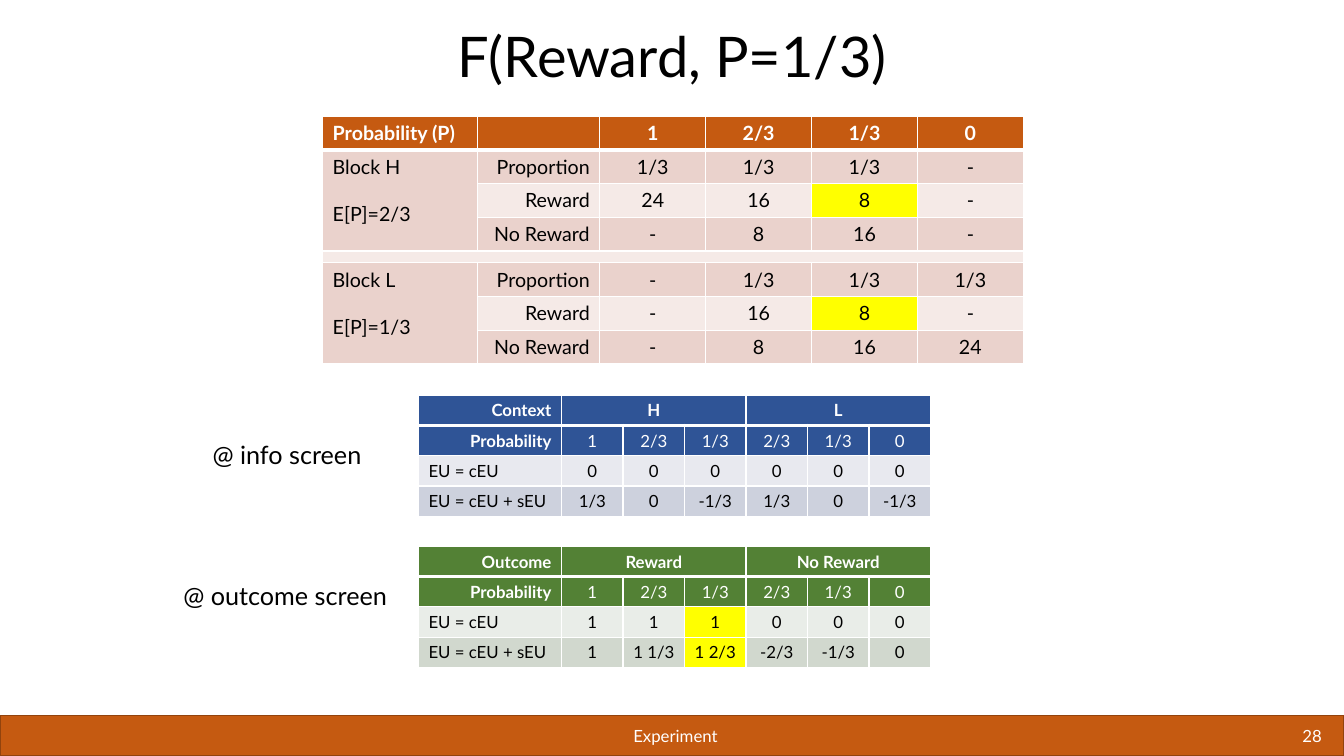
"""Build the reward and probability slide with its three tables."""
from dataclasses import dataclass

from lxml import etree
from pptx import Presentation
from pptx import util as u
from pptx.dml.color import RGBColor
from pptx.enum import shapes, text
from pptx.oxml.ns import qn

FONT = "Lato"
BLACK = RGBColor(0x00, 0x00, 0x00)
WHITE = RGBColor(0xFF, 0xFF, 0xFF)
YELLOW = RGBColor(0xFF, 0xFF, 0x00)
ORANGE = RGBColor(0xC5, 0x5A, 0x11)
BROWN = RGBColor(0x92, 0x43, 0x0D)
ROSE = RGBColor(0xEA, 0xD2, 0xCC)
PALE_ROSE = RGBColor(0xF5, 0xEA, 0xE7)
BLUE = RGBColor(0x2F, 0x54, 0x96)
PALE_BLUE = RGBColor(0xE8, 0xE9, 0xEF)
LIGHT_BLUE = RGBColor(0xCD, 0xD1, 0xDD)
GREEN = RGBColor(0x53, 0x81, 0x35)
PALE_GREEN = RGBColor(0xE9, 0xED, 0xE8)
LIGHT_GREEN = RGBColor(0xD1, 0xD8, 0xCE)

ALIGN = {"l": text.PP_ALIGN.LEFT, "c": text.PP_ALIGN.CENTER, "r": text.PP_ALIGN.RIGHT}
TOP, MIDDLE, BOTTOM = (text.MSO_ANCHOR.TOP, text.MSO_ANCHOR.MIDDLE,
                       text.MSO_ANCHOR.BOTTOM)


@dataclass
class Label:
    """A single line of text in a box."""
    words: str
    left: float
    top: float
    width: float
    height: float
    size: float
    align: str = "l"
    color: RGBColor = BLACK
    anchor: text.MSO_ANCHOR = TOP
    wrap: bool = True
    spacing: float = 1.0


@dataclass
class Grid:
    """A table with one fill and one alignment string per row."""
    left: float
    top: float
    widths: list[float]
    heights: list[float]
    size: float
    rows: list[list[str]]
    fills: list[RGBColor]
    aligns: list[str]
    merges: list[tuple[int, int, int, int]]
    yellow: set[tuple[int, int]]
    head_rows: int = 1


def add_run(p, words: str, size: float, color: RGBColor, bold: bool = False) -> None:
    """Append one styled run to a paragraph."""
    r = p.add_run()
    r.text = words
    r.font.name, r.font.size, r.font.bold = FONT, u.Pt(size), bold
    r.font.color.rgb = color


def add_label(s, label: Label) -> None:
    """Draw a label as a text box."""
    sp = s.shapes.add_textbox(*map(u.Inches, (label.left, label.top,
                                             label.width, label.height)))
    tf = sp.text_frame
    tf.word_wrap, tf.vertical_anchor = label.wrap, label.anchor
    if not label.wrap:
        tf.auto_size = text.MSO_AUTO_SIZE.SHAPE_TO_FIT_TEXT
    p = tf.paragraphs[0]
    p.alignment, p.line_spacing = ALIGN[label.align], label.spacing
    add_run(p, label.words, label.size, label.color)


def add_borders(cell, top: float, bottom: float) -> None:
    """Give a cell white borders, with widths in points."""
    tc_pr = cell._tc.get_or_add_tcPr()
    for i, (side, width) in enumerate(zip("LRTB", (1, 1, top, bottom))):
        ln = etree.Element(qn(f"a:ln{side}"), w=str(u.Pt(width)))
        fill = etree.SubElement(ln, qn("a:solidFill"))
        etree.SubElement(fill, qn("a:srgbClr"), val=str(WHITE))
        tc_pr.insert(i, ln)


def fill_cell(cell, grid: Grid, row: int, col: int) -> None:
    """Set the fill, borders and text of one cell."""
    cell.fill.solid()
    cell.fill.fore_color.rgb = YELLOW if (row, col) in grid.yellow else grid.fills[row]
    add_borders(cell, 3 if row == 1 else 1, 3 if row == 0 else 1)
    head = row < grid.head_rows
    bold = row == 0 or (head and col == 0)
    words = grid.rows[row][col] if grid.rows[row] else ""
    tf = cell.text_frame
    for i, line in enumerate(words.split("\n")):
        p = tf.add_paragraph() if i else tf.paragraphs[0]
        if i:
            p.space_before = u.Pt(1.2 * grid.size)
        if line:
            p.alignment = ALIGN[grid.aligns[row][col]]
            add_run(p, line, grid.size, WHITE if head else BLACK, bold)
        else:
            size = grid.size if grid.rows[row] else 1
            etree.SubElement(p._p, qn("a:endParaRPr"), sz=str(int(size * 100)))


def add_grid(s, grid: Grid) -> None:
    """Draw a grid as a table."""
    n_rows, n_cols = len(grid.heights), len(grid.widths)
    table = s.shapes.add_table(
        n_rows, n_cols, u.Inches(grid.left), u.Inches(grid.top),
        u.Inches(sum(grid.widths)), u.Inches(sum(grid.heights))).table
    table.first_row = table.horz_banding = False
    for column, width in zip(table.columns, grid.widths):
        column.width = u.Inches(width)
    for i, height in enumerate(grid.heights):
        table.rows[i].height = u.Inches(height)
        for j in range(n_cols):
            fill_cell(table.cell(i, j), grid, i, j)
    for top, left, bottom, right in grid.merges:
        table.cell(top, left).merge(table.cell(bottom, right))


def utility_grid(top: float, rows: list[list[str]], fills: list[RGBColor],
                 yellow: set[tuple[int, int]]) -> Grid:
    """Describe a table of expected utilities."""
    return Grid(4.15, top, [1.42] + [0.61] * 6, [0.3] * 4, 12, rows, fills,
                ["rcccccc"] * 2 + ["lcccccc"] * 2,
                [(0, 1, 0, 3), (0, 4, 0, 6)], yellow, head_rows=2)


PROBABILITIES = ["Probability", "1", "2/3", "1/3", "2/3", "1/3", "0"]
GRIDS = [
    utility_grid(3.92, [
        ["Context", "H", "", "", "L", "", ""],
        PROBABILITIES,
        ["EU = cEU", "0", "0", "0", "0", "0", "0"],
        ["EU = cEU + sEU", "1/3", "0", "-1/3", "1/3", "0", "-1/3"],
    ], [BLUE, BLUE, PALE_BLUE, LIGHT_BLUE], set()),
    utility_grid(5.42, [
        ["Outcome", "Reward", "", "", "No Reward", "", ""],
        PROBABILITIES,
        ["EU = cEU", "1", "1", "1", "0", "0", "0"],
        ["EU = cEU + sEU", "1", "1 1/3", "1 2/3", "-2/3", "-1/3", "0"],
    ], [GREEN, GREEN, PALE_GREEN, LIGHT_GREEN], {(2, 3), (3, 3)}),
    Grid(3.2, 1.15, [1.54, 1.21] + [1.05] * 4, [0.335] * 4 + [0.115] + [0.335] * 3, 14, [
        ["Probability (P)", "", "1", "2/3", "1/3", "0"],
        ["Block H\nE[P]=2/3", "Proportion", "1/3", "1/3", "1/3", "-"],
        ["", "Reward", "24", "16", "8", "-"],
        ["", "No Reward", "-", "8", "16", "-"],
        [],
        ["Block L\nE[P]=1/3", "Proportion", "-", "1/3", "1/3", "1/3"],
        ["", "Reward", "-", "16", "8", "-"],
        ["", "No Reward", "-", "8", "16", "24"],
    ], [ORANGE] + [ROSE, PALE_ROSE, ROSE, PALE_ROSE] + [ROSE, PALE_ROSE, ROSE],
        ["lrcccc"] * 8, [(1, 0, 3, 0), (4, 0, 4, 5), (5, 0, 7, 0)], {(2, 4), (6, 4)}),
]
LABELS = [
    Label("F(Reward, P=1/3)", 0.66, 0.23, 12.01, 0.71, 40, "c",
          anchor=BOTTOM, spacing=0.9),
    Label("Experiment", 2.24, 7.1, 8.92, 0.4, 12, "c", WHITE, MIDDLE),
    Label("28", 11.15, 7.1, 2.06, 0.4, 12, "r", WHITE, MIDDLE),
    Label("@ outcome screen", 1.72, 5.71, 2.27, 0.4, 18, wrap=False),
    Label("@ info screen", 2.01, 4.31, 1.7, 0.4, 18, wrap=False),
]


def main() -> None:
    """Build and save the slide."""
    prs = Presentation()
    prs.slide_width, prs.slide_height = u.Inches(13.33), u.Inches(7.5)
    s = prs.slides.add_slide(prs.slide_layouts[6])
    footer = s.shapes.add_shape(shapes.MSO_SHAPE.RECTANGLE, 0, u.Inches(7.1),
                                prs.slide_width, u.Inches(0.4))
    footer.shadow.inherit = False
    footer.fill.solid()
    footer.fill.fore_color.rgb = ORANGE
    footer.line.color.rgb, footer.line.width = BROWN, u.Pt(1)
    for grid in GRIDS:
        add_grid(s, grid)
    for label in LABELS:
        add_label(s, label)
    prs.save("out.pptx")


if __name__ == "__main__":
    main()
